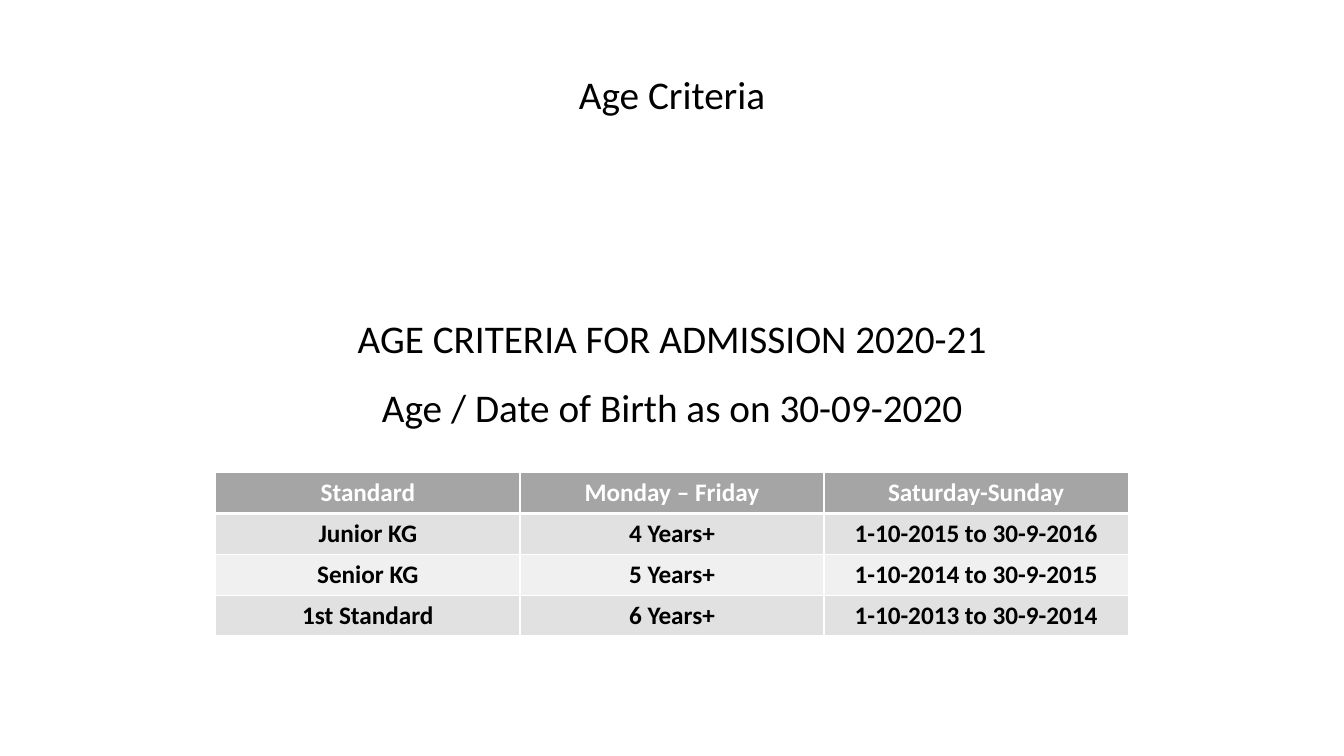
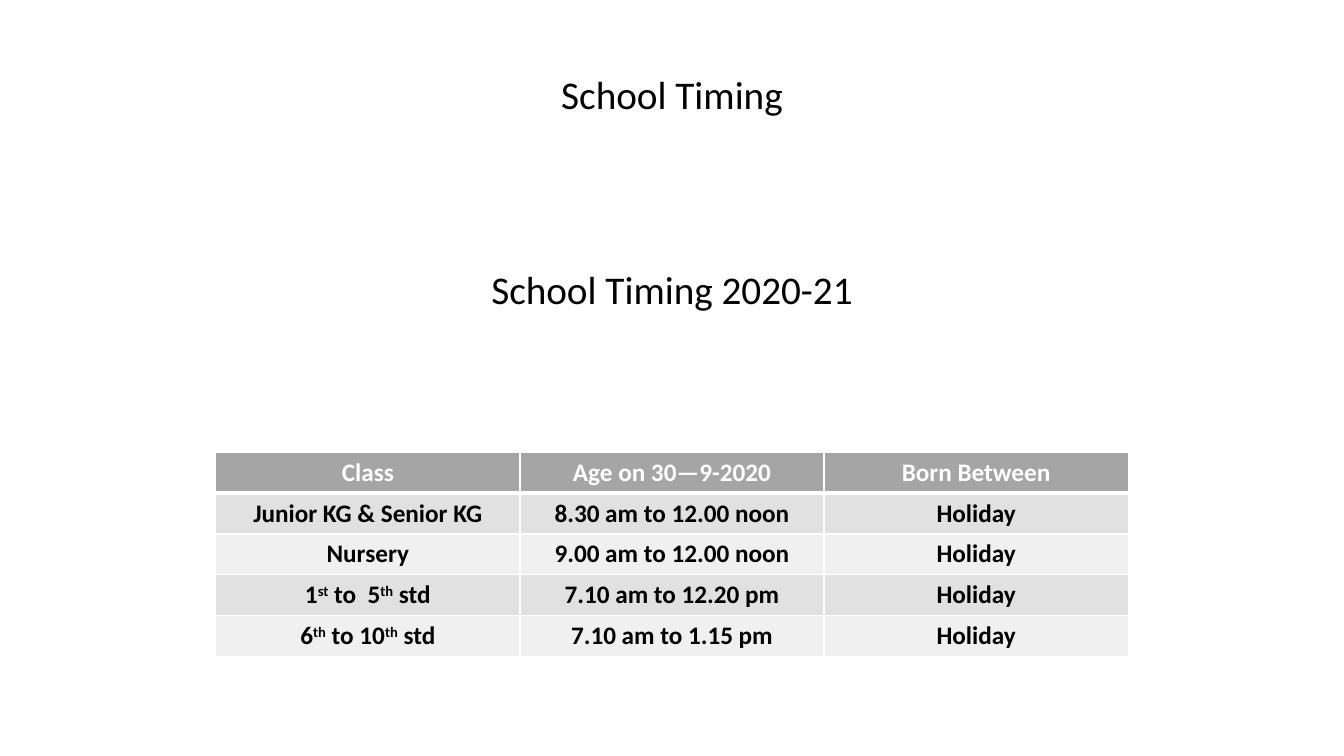
from dataclasses import dataclass

from lxml import etree
from pptx import Presentation
from pptx.dml.color import RGBColor
from pptx.enum.text import MSO_ANCHOR, MSO_AUTO_SIZE, PP_ALIGN
from pptx.oxml.ns import qn
from pptx.shapes.base import BaseShape
from pptx.slide import Slide
from pptx.table import _Cell
from pptx.text.text import _Paragraph
from pptx.util import Inches, Pt

CENTER = PP_ALIGN.CENTER
TOP = MSO_ANCHOR.TOP
GROW = MSO_AUTO_SIZE.SHAPE_TO_FIT_TEXT

COLORS = {
    "text": "000000",
    "header_text": "FFFFFF",
    "header": "A5A5A5",
    "odd_row": "E1E1E1",
    "even_row": "F0F0F0",
    "border": "FFFFFF",
}
FONT = "Calibri"
HEADING_SIZE = 28
CELL_SIZE = 18
TITLE_ONLY = 5

# Shared geometry: everything is centred across the slide
SLIDE_W, SLIDE_H = Inches(13.33), Inches(7.5)
HEADING_W, HEADING_H = Inches(9.52), Inches(0.57)
TITLE_TOP = Inches(0.65)
TABLE_W = Inches(9.05)
TABLE_MIDDLE = Inches(5.5)
ROW_H = int(SLIDE_H * 5.4 / 100)

THIN, THICK = 1, 3
SUPERSCRIPT_MARK = "^"


@dataclass(frozen=True)
class Heading:
    text: str
    top: float


@dataclass(frozen=True)
class Page:
    title: str
    headings: tuple[Heading, ...]
    rows: tuple[tuple[str, ...], ...]


PAGES = (
    Page(
        "Age Criteria",
        (
            Heading("AGE CRITERIA FOR ADMISSION 2020-21", 3.07),
            Heading("Age / Date of Birth as on 30-09-2020", 3.75),
        ),
        (
            ("Standard", "Monday – Friday", "Saturday-Sunday"),
            ("Junior KG", "4 Years+", "1-10-2015 to 30-9-2016"),
            ("Senior KG", "5 Years+", "1-10-2014 to 30-9-2015"),
            ("1st Standard", "6 Years+", "1-10-2013 to 30-9-2014"),
        ),
    ),
    Page(
        "School Timing",
        (Heading("School Timing 2020-21", 2.58),),
        (
            ("Class", "Age on 30—9-2020", "Born Between"),
            ("Junior KG & Senior KG", "8.30 am to 12.00 noon", "Holiday"),
            ("Nursery", "9.00 am to 12.00 noon", "Holiday"),
            ("1^st^ to  5^th^ std", "7.10 am to 12.20 pm", "Holiday"),
            ("6^th^ to 10^th^ std", "7.10 am to 1.15 pm", "Holiday"),
        ),
    ),
)


def write_line(paragraph: _Paragraph, text: str, size: int, color: str,
               bold: bool = False) -> None:
    """Write centred text; parts between marks become superscript."""
    paragraph.alignment = CENTER
    for index, part in enumerate(text.split(SUPERSCRIPT_MARK)):
        run = paragraph.add_run()
        run.text = part
        run.font.name = FONT
        run.font.size = Pt(size)
        run.font.bold = bold
        run.font.color.rgb = RGBColor.from_string(COLORS[color])
        if index % 2:
            run.font._element.set("baseline", "30000")


def format_heading(shape: BaseShape, text: str) -> None:
    frame = shape.text_frame
    frame.word_wrap = True
    frame.auto_size = GROW
    frame.vertical_anchor = TOP
    write_line(frame.paragraphs[0], text, HEADING_SIZE, "text")


def set_borders(cell: _Cell, top: int, bottom: int) -> None:
    properties = cell._tc.get_or_add_tcPr()
    widths = {"lnL": THIN, "lnR": THIN, "lnT": top, "lnB": bottom}
    for side, width in widths.items():
        line = etree.SubElement(properties, qn(f"a:{side}"), w=str(Pt(width)))
        fill = etree.SubElement(line, qn("a:solidFill"))
        etree.SubElement(fill, qn("a:srgbClr"), val=COLORS["border"])


def format_cell(cell: _Cell, text: str, row: int) -> None:
    is_header = row == 0
    band = "header" if is_header else "odd_row" if row % 2 else "even_row"
    set_borders(cell, THICK if row == 1 else THIN, THICK if is_header else THIN)
    cell.fill.solid()
    cell.fill.fore_color.rgb = RGBColor.from_string(COLORS[band])
    write_line(cell.text_frame.paragraphs[0], text, CELL_SIZE,
               "header_text" if is_header else "text", bold=True)


def add_schedule(slide: Slide, rows: tuple[tuple[str, ...], ...]) -> None:
    height = ROW_H * len(rows)
    schedule = slide.shapes.add_table(
        len(rows), len(rows[0]), (SLIDE_W - TABLE_W) // 2,
        TABLE_MIDDLE - height // 2, TABLE_W, height).table
    for row, texts in enumerate(rows):
        for column, text in enumerate(texts):
            format_cell(schedule.cell(row, column), text, row)


def add_page(deck: Presentation, page: Page) -> None:
    slide = deck.slides.add_slide(deck.slide_layouts[TITLE_ONLY])
    left = (SLIDE_W - HEADING_W) // 2

    # Title
    title = slide.shapes.title
    title.left, title.top = left, TITLE_TOP
    title.width, title.height = HEADING_W, HEADING_H
    format_heading(title, page.title)

    # Headings above the table
    for heading in page.headings:
        box = slide.shapes.add_textbox(
            left, Inches(heading.top), HEADING_W, HEADING_H)
        format_heading(box, heading.text)

    add_schedule(slide, page.rows)


deck = Presentation()
deck.slide_width, deck.slide_height = SLIDE_W, SLIDE_H
for page in PAGES:
    add_page(deck, page)
deck.save("out.pptx")
